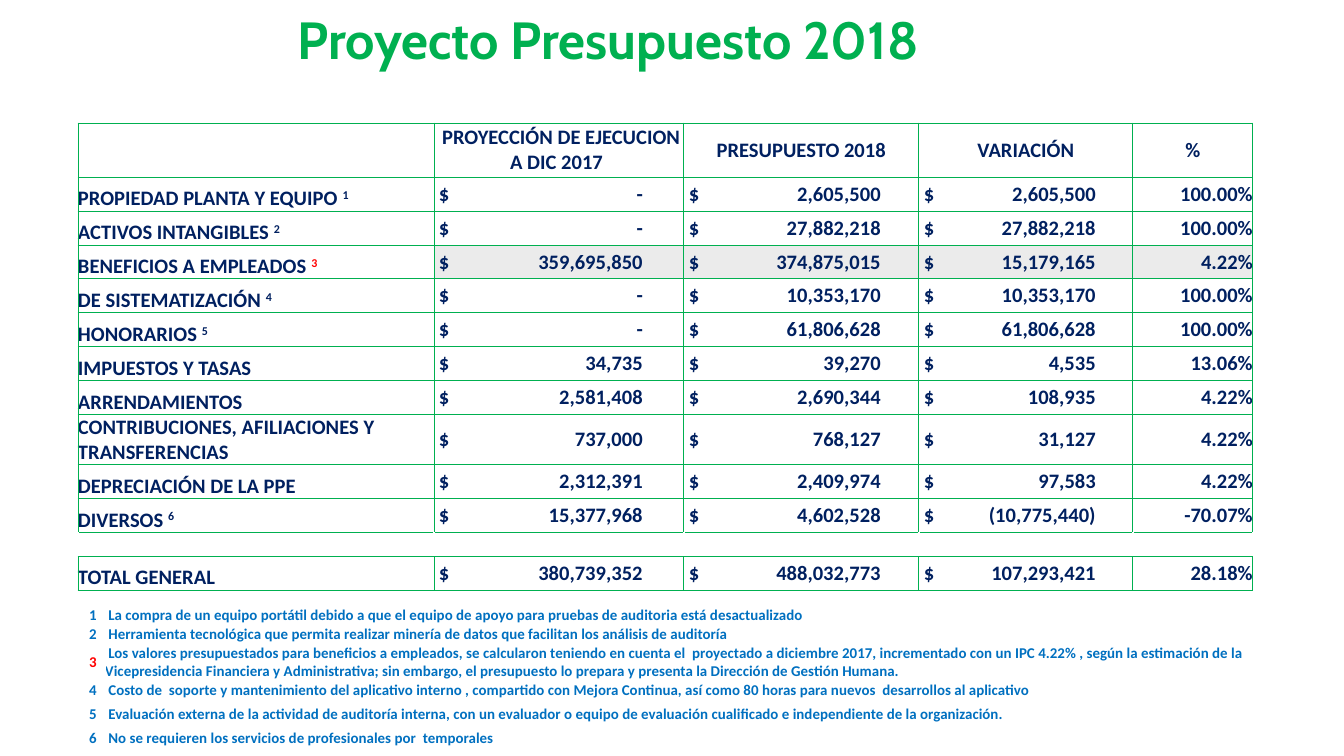
from dataclasses import dataclass
from typing import Optional

from pptx import Presentation
from pptx.dml.color import RGBColor
from pptx.enum.text import MSO_ANCHOR, PP_ALIGN
from pptx.oxml.xmlchemy import OxmlElement
from pptx.util import Emu, Pt

EMU_PER_PIXEL = 914400 / 134.4
COLORS = {"title": "00B050", "border": "00B050", "budget": "002060",
          "note": "0070C0", "alert": "FF0000", "shade": "EBEBEB"}
TITLE_FONT = {"name": "Cabin", "size": Pt(28), "bold": True}
BUDGET_FONT = {"name": "Calibri", "size": Pt(11), "bold": True}
NOTE_FONT = {"name": "Calibri", "size": Pt(8), "bold": True}
SIDES = {"left": "a:lnL", "right": "a:lnR", "top": "a:lnT", "bottom": "a:lnB"}
DOLLAR_INDENT = 5
ALERT_NOTE = "3"


@dataclass(frozen=True)
class BudgetLine:
    concept: str
    executed: str
    budget: str
    variation: str
    percent: str
    note: str = ""
    height: int = 34

    @property
    def amounts(self) -> tuple:
        return self.executed, self.budget, self.variation


@dataclass(frozen=True)
class Note:
    number: str
    text: str
    height: int


HEADERS = ["", " PROYECCIÓN DE EJECUCION A DIC 2017 ", " PRESUPUESTO 2018 ", "VARIACIÓN", "%"]
HEADER_HEIGHT = 54
SPACER_HEIGHT = 24
BUDGET_COLUMNS = [356, 250, 235, 214, 120]
AMOUNT_TABS = [204, 192, 172]
NOTE_COLUMNS = [24, 1152]

BUDGET_LINES = [
    BudgetLine("PROPIEDAD PLANTA Y EQUIPO ", "-", "2,605,500", "2,605,500", "100.00%", "1"),
    BudgetLine("ACTIVOS INTANGIBLES ", "-", "27,882,218", "27,882,218", "100.00%", "2"),
    BudgetLine("BENEFICIOS A EMPLEADOS ", "359,695,850", "374,875,015", "15,179,165", "4.22%", "3"),
    BudgetLine("DE SISTEMATIZACIÓN ", "-", "10,353,170", "10,353,170", "100.00%", "4"),
    BudgetLine("HONORARIOS ", "-", "61,806,628", "61,806,628", "100.00%", "5"),
    BudgetLine("IMPUESTOS Y TASAS", "34,735", "39,270", "4,535", "13.06%"),
    BudgetLine("ARRENDAMIENTOS", "2,581,408", "2,690,344", "108,935", "4.22%"),
    BudgetLine("CONTRIBUCIONES, AFILIACIONES Y TRANSFERENCIAS",
               "737,000", "768,127", "31,127", "4.22%", height=50),
    BudgetLine("DEPRECIACIÓN DE LA PPE", "2,312,391", "2,409,974", "97,583", "4.22%"),
    BudgetLine("DIVERSOS ", "15,377,968", "4,602,528", "(10,775,440)", "-70.07%", "6"),
]
TOTAL = BudgetLine("TOTAL GENERAL", "380,739,352", "488,032,773", "107,293,421", "28.18%")

NOTES = [
    Note("1", " La compra de un equipo portátil debido a que el equipo de apoyo para pruebas "
              "de auditoria está desactualizado", 20),
    Note("2", " Herramienta tecnológica que permita realizar minería de datos que facilitan "
              "los análisis de auditoría", 19),
    Note("3", " Los valores presupuestados para beneficios a empleados, se calcularon teniendo "
              "en cuenta el  proyectado a diciembre 2017, incrementado con un IPC 4.22% , según "
              "la estimación de la Vicepresidencia Financiera y Administrativa; sin embargo, el "
              "presupuesto lo prepara y presenta la Dirección de Gestión Humana.", 37),
    Note("4", " Costo de  soporte y mantenimiento del aplicativo interno , compartido con Mejora "
              "Continua, así como 80 horas para nuevos  desarrollos al aplicativo", 19),
    Note("5", " Evaluación externa de la actividad de auditoría interna, con un evaluador o equipo "
              "de evaluación cualificado e independiente de la organización.", 29),
    Note("6", " No se requieren los servicios de profesionales por  temporales", 19),
]


def px(value: int) -> Emu:
    return Emu(round(value * EMU_PER_PIXEL))


def add_run(paragraph, text: str, font: dict, color: str):
    run = paragraph.add_run()
    run.text = text
    for name, value in font.items():
        setattr(run.font, name, value)
    run.font.color.rgb = RGBColor.from_string(COLORS[color])
    return run


def clear_insets(target) -> None:
    for side in SIDES:
        setattr(target, f"margin_{side}", 0)


def add_right_tab(paragraph, position: int) -> None:
    tabs = OxmlElement("a:tabLst")
    tab = OxmlElement("a:tab")
    tab.set("pos", str(px(position)))
    tab.set("algn", "r")
    tabs.append(tab)
    paragraph._p.get_or_add_pPr().append(tabs)


def set_borders(cell, sides) -> None:
    properties = cell._tc.get_or_add_tcPr()
    for index, side in enumerate(sides):
        line = OxmlElement(SIDES[side])
        line.set("w", str(Pt(0.5)))
        fill = OxmlElement("a:solidFill")
        color = OxmlElement("a:srgbClr")
        color.set("val", COLORS["border"])
        fill.append(color)
        line.append(fill)
        properties.insert(index, line)


def add_table(slide, left: int, top: int, columns: list, rows: list):
    """Add an unstyled table whose cells have no fill and no insets."""
    table = slide.shapes.add_table(len(rows), len(columns), px(left), px(top),
                                   px(sum(columns)), px(sum(rows))).table
    table.first_row = table.horz_banding = False
    for column, width in zip(table.columns, columns):
        column.width = px(width)
    for row, height in zip(table.rows, rows):
        row.height = px(height)
    for cell in table.iter_cells():
        clear_insets(cell)
        cell.vertical_anchor = MSO_ANCHOR.MIDDLE
        cell.fill.background()
    return table


def write_cell(cell, text: str, font: dict, color: str,
               alignment: Optional[PP_ALIGN] = None) -> None:
    paragraph = cell.text_frame.paragraphs[0]
    paragraph.alignment = alignment
    if text:
        add_run(paragraph, text, font, color)
    else:
        end = OxmlElement("a:endParaRPr")
        end.set("sz", "800")
        paragraph._p.append(end)


def write_budget_line(cells: list, line: BudgetLine) -> None:
    concept, *amounts, percent = cells
    concept.vertical_anchor = MSO_ANCHOR.BOTTOM
    write_cell(concept, line.concept, BUDGET_FONT, "budget")
    if line.note:
        color = "alert" if line.note == ALERT_NOTE else "budget"
        run = add_run(concept.text_frame.paragraphs[0], line.note, BUDGET_FONT, color)
        run._r.get_or_add_rPr().set("baseline", "30000")
    for cell, amount, tab in zip(amounts, line.amounts, AMOUNT_TABS):
        cell.margin_left = px(DOLLAR_INDENT)
        add_right_tab(cell.text_frame.paragraphs[0], tab)
        write_cell(cell, f"$\t{amount}", BUDGET_FONT, "budget")
    write_cell(percent, line.percent, BUDGET_FONT, "budget", PP_ALIGN.RIGHT)
    if line.note == ALERT_NOTE:
        for cell in cells[1:]:
            cell.fill.solid()
            cell.fill.fore_color.rgb = RGBColor.from_string(COLORS["shade"])


def add_title(slide) -> None:
    frame = slide.shapes.add_textbox(px(184), px(17), px(848), px(54)).text_frame
    frame.word_wrap = True
    clear_insets(frame)
    paragraph = frame.paragraphs[0]
    paragraph.alignment = PP_ALIGN.CENTER
    paragraph.line_spacing = 0.85
    add_run(paragraph, "Proyecto Presupuesto 2018", TITLE_FONT, "title")


def add_budget_table(slide) -> None:
    heights = [HEADER_HEIGHT, *(line.height for line in BUDGET_LINES), SPACER_HEIGHT, TOTAL.height]
    table = add_table(slide, 78, 123, BUDGET_COLUMNS, heights)
    header, *body, spacer, total = [list(row.cells) for row in table.rows]
    for cell, text in zip(header, HEADERS):
        write_cell(cell, text, BUDGET_FONT, "budget", PP_ALIGN.CENTER)
    for cells, line in zip([*body, total], [*BUDGET_LINES, TOTAL]):
        write_budget_line(cells, line)
    for cell in spacer:
        write_cell(cell, "", BUDGET_FONT, "budget")
        set_borders(cell, ["top", "bottom"])
    for cells in (header, *body, total):
        for cell in cells:
            set_borders(cell, SIDES)


def add_notes_table(slide) -> None:
    table = add_table(slide, 81, 605, NOTE_COLUMNS, [note.height for note in NOTES])
    for row, note in zip(table.rows, NOTES):
        number, text = row.cells
        color = "alert" if note.number == ALERT_NOTE else "note"
        write_cell(number, note.number, NOTE_FONT, color, PP_ALIGN.CENTER)
        write_cell(text, note.text, NOTE_FONT, "note")


def main() -> None:
    presentation = Presentation()
    presentation.slide_width, presentation.slide_height = px(1344), px(756)
    slide = presentation.slides.add_slide(presentation.slide_layouts[6])
    add_title(slide)
    add_budget_table(slide)
    add_notes_table(slide)
    presentation.save("out.pptx")


if __name__ == "__main__":
    main()
